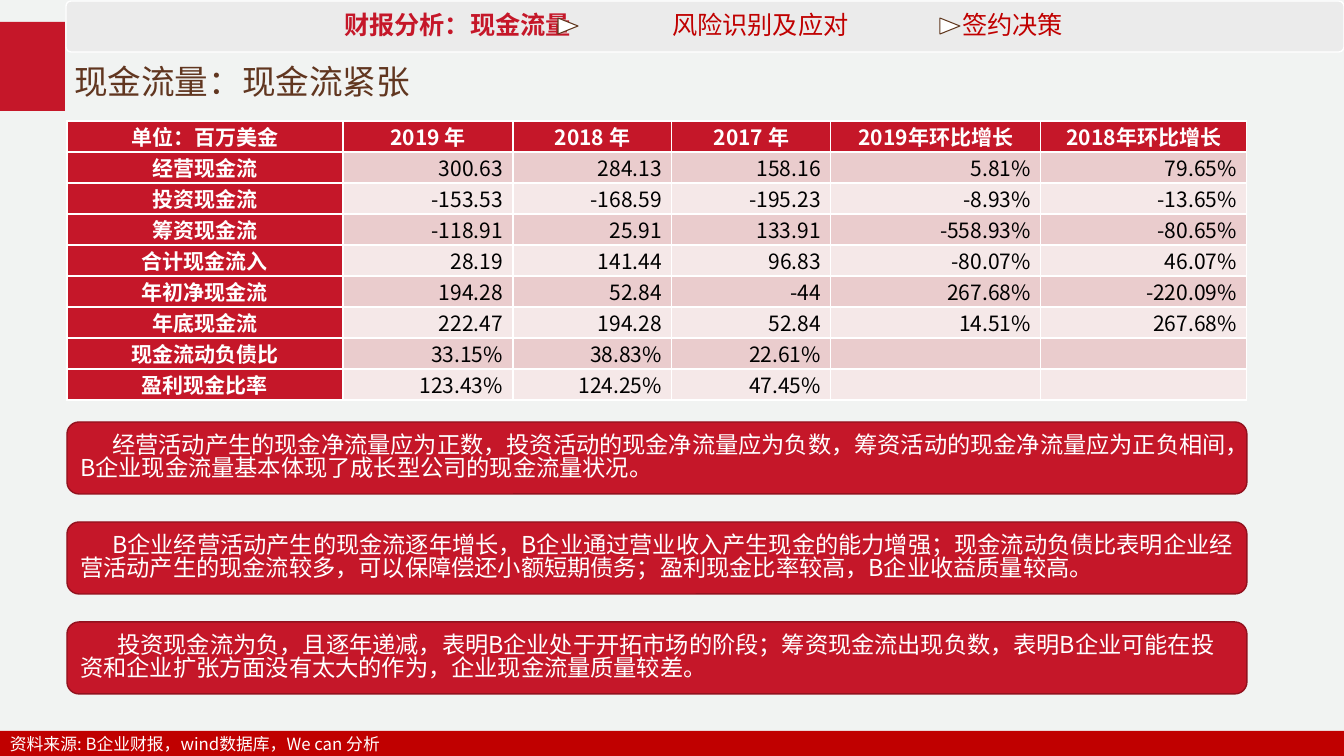
"""Build the cash flow slide: header steps, table, three findings and source bar."""
from dataclasses import dataclass

from lxml.etree import SubElement
from pptx import Presentation
from pptx.dml.color import RGBColor
from pptx.enum.shapes import MSO_SHAPE
from pptx.enum.text import MSO_ANCHOR, PP_ALIGN
from pptx.oxml.ns import qn
from pptx.util import Pt

PX = 914400 / 100.8


@dataclass(frozen=True)
class Theme:
    font: str = "Noto Sans CJK SC"
    title_font: str = "Calibri"
    bg: str = "F1F3F2"
    red: str = "C51729"
    dark_red: str = "C00000"
    outline: str = "92111E"
    brown: str = "613620"
    arrow_line: str = "613920"
    band_odd: str = "EACCCD"
    band_even: str = "F5E8E8"
    header: str = "EBEBEB"
    white: str = "FFFFFF"
    black: str = "000000"
    title_size: float = 24
    header_size: float = 18
    finding_size: float = 16.6
    table_size: float = 15
    source_size: float = 12


T = Theme()


def add_run(p, text, size, color, bold=False, font=T.font):
    r = p.add_run()
    r.text = text
    r.font.size, r.font.bold, r.font.name = Pt(size), bold, font
    r.font.color.rgb = RGBColor.from_string(color)
    SubElement(r.font._element, qn("a:ea")).set("typeface", T.font)


def add_block(shape, x, y, w, h, fill, line=None, line_width=1):
    sp = s.shapes.add_shape(shape, *(round(v * PX) for v in (x, y, w, h)))
    sp.shadow.inherit = False
    sp.fill.solid()
    sp.fill.fore_color.rgb = RGBColor.from_string(fill)
    if line:
        sp.line.color.rgb = RGBColor.from_string(line)
        sp.line.width = Pt(line_width)
    else:
        sp.line.fill.background()
    tf = sp.text_frame
    tf.word_wrap = True
    tf.vertical_anchor = MSO_ANCHOR.MIDDLE
    tf.paragraphs[0].alignment = PP_ALIGN.LEFT
    return sp


prs = Presentation()
prs.slide_width, prs.slide_height = round(1344 * PX), round(756 * PX)
s = prs.slides.add_slide(prs.slide_layouts[5])
s.background.fill.solid()
s.background.fill.fore_color.rgb = RGBColor.from_string(T.bg)

add_block(MSO_SHAPE.RECTANGLE, 0, 22, 65, 89, T.red)

title = s.shapes.title
title.left, title.top, title.width, title.height = (round(v * PX) for v in (64, 58, 405, 52))
tf = title.text_frame
tf.word_wrap = False
tf.vertical_anchor = MSO_ANCHOR.MIDDLE
p = tf.paragraphs[0]
p.alignment, p.line_spacing = PP_ALIGN.LEFT, 0.9
add_run(p, "现金流量：现金流紧张", T.title_size, T.brown, font=T.title_font)

rows = [
    ["单位：百万美金", "2019 年", "2018 年", "2017 年", "2019年环比增长", "2018年环比增长"],
    ["经营现金流", "300.63", "284.13", "158.16", "5.81%", "79.65%"],
    ["投资现金流", "-153.53", "-168.59", "-195.23", "-8.93%", "-13.65%"],
    ["筹资现金流", "-118.91", "25.91", "133.91", "-558.93%", "-80.65%"],
    ["合计现金流入", "28.19", "141.44", "96.83", "-80.07%", "46.07%"],
    ["年初净现金流", "194.28", "52.84", "-44", "267.68%", "-220.09%"],
    ["年底现金流", "222.47", "194.28", "52.84", "14.51%", "267.68%"],
    ["现金流动负债比", "33.15%", "38.83%", "22.61%", "", ""],
    ["盈利现金比率", "123.43%", "124.25%", "47.45%", "", ""],
]
col_widths = [276, 170, 159, 159, 210, 206]
row_height = 31
frame = s.shapes.add_table(len(rows), len(col_widths), round(67 * PX), round(121 * PX),
                           round(sum(col_widths) * PX), round(row_height * len(rows) * PX))
table = frame.table
for col, width in zip(table.columns, col_widths):
    col.width = round(width * PX)
for i, values in enumerate(rows):
    table.rows[i].height = round(row_height * PX)
    for j, value in enumerate(values):
        cell = table.cell(i, j)
        is_label = i == 0 or j == 0
        band = T.band_odd if i % 2 else T.band_even
        cell.fill.solid()
        cell.fill.fore_color.rgb = RGBColor.from_string(T.red if is_label else band)
        cell.margin_top = cell.margin_bottom = 0
        cell.vertical_anchor = MSO_ANCHOR.MIDDLE
        p = cell.text_frame.paragraphs[0]
        p.alignment = PP_ALIGN.CENTER if is_label else PP_ALIGN.RIGHT
        add_run(p, value, T.table_size, T.white if is_label else T.black, is_label)

findings = [
    (32, "经营活动产生的现金净流量应为正数，投资活动的现金净流量应为负数，筹资活动的现金净流量应为正负相间，"
         "B企业现金流量基本体现了成长型公司的现金流量状况。"),
    (32, "B企业经营活动产生的现金流逐年增长，B企业通过营业收入产生现金的能力增强；现金流动负债比表明企业"
         "经营活动产生的现金流较多，可以保障偿还小额短期债务；盈利现金比率较高，B企业收益质量较高。"),
    (37, "投资现金流为负，且逐年递减，表明B企业处于开拓市场的阶段；筹资现金流出现负数，表明B企业可能在"
         "投资和企业扩张方面没有太大的作为，企业现金流量质量较差。"),
]
for i, (indent, text) in enumerate(findings):
    sp = add_block(MSO_SHAPE.ROUNDED_RECTANGLE, 67, 422 + 100 * i, 1180, 72, T.red, T.outline)
    p = sp.text_frame.paragraphs[0]
    p.line_spacing = 0.83
    p._p.get_or_add_pPr().set("indent", str(round(indent * PX)))
    add_run(p, text, T.finding_size, T.white)

source = add_block(MSO_SHAPE.RECTANGLE, 0, 731, 1344, 25, T.dark_red)
add_run(source.text_frame.paragraphs[0], "资料来源: B企业财报，wind数据库，We can 分析",
        T.source_size, T.white)

header = add_block(MSO_SHAPE.ROUNDED_RECTANGLE, 66, 1, 1278, 51, T.header, T.white)
header.adjustments[0] = 0.1

step_lefts = [344, 672, 962]
box_left = 64
steps = s.shapes.add_textbox(*(round(v * PX) for v in (box_left, 2, 1279, 48)))
tf = steps.text_frame
tf.word_wrap = True
tf.vertical_anchor = MSO_ANCHOR.MIDDLE
tf.margin_left = round((step_lefts[0] - box_left) * PX)
p = tf.paragraphs[0]
p.line_spacing = 0.9
tabs = SubElement(p._p.get_or_add_pPr(), qn("a:tabLst"))
for left in step_lefts[1:]:
    tab = SubElement(tabs, qn("a:tab"))
    tab.set("pos", str(round((left - step_lefts[0]) * PX)))
    tab.set("algn", "l")
add_run(p, "财报分析：现金流量", T.header_size, T.red, True)
add_run(p, "\t风险识别及应对\t签约决策", T.header_size, T.dark_red)

for left in (560, 942):
    arrow = add_block(MSO_SHAPE.ISOSCELES_TRIANGLE, left, 16, 16, 20, T.white, T.arrow_line, 0.75)
    arrow.rotation = 90

prs.save("out.pptx")
